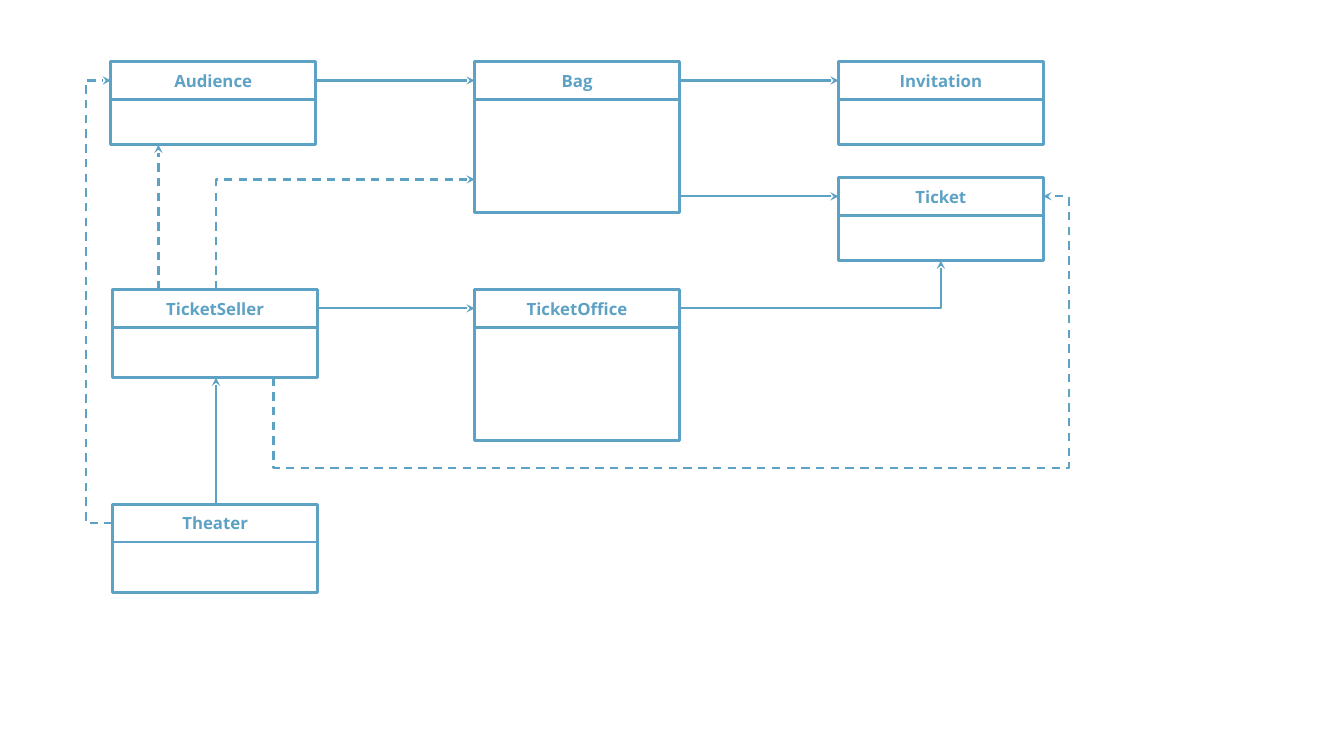
import pptx
import pptx.dml.color
import pptx.enum.dml
import pptx.enum.shapes
import pptx.enum.text
import pptx.oxml
import pptx.oxml.ns
import pptx.util

Pt = pptx.util.Pt
qn = pptx.oxml.ns.qn
BLUE = pptx.dml.color.RGBColor(0x5D, 0xA2, 0xC5)
FONT = "Open Sans"

# Content: class name -> left, top, body height
BOX_WIDTH, HEADER_HEIGHT = 146.2, 27
COLUMNS = (79.2, 339.1, 599)
INDENTED = 80.6
CLASSES = {
    "Audience": (COLUMNS[0], 44, 32.4),
    "Bag": (COLUMNS[1], 44, 80.6),
    "Invitation": (COLUMNS[2], 44, 32.4),
    "Ticket": (COLUMNS[2], 126.8, 32.4),
    "TicketSeller": (INDENTED, 206.8, 36),
    "TicketOffice": (COLUMNS[1], 206.8, 80.6),
    "Theater": (INDENTED, 360.2, 36),
}


# Anchor points on the class boxes
def side(name, fraction):
    """Point at header mid-height, at a fraction of the box width."""
    left, top, _ = CLASSES[name]
    return left + fraction * BOX_WIDTH, top + HEADER_HEIGHT / 2


def upper(name, x):
    return x, CLASSES[name][1]


def lower(name, x):
    _, top, body = CLASSES[name]
    return x, top + HEADER_HEIGHT + body


def link(source, target):
    """Horizontal path from one box to the next, level with the target header."""
    target_point = side(target, 0)
    return [(side(source, 1)[0], target_point[1]), target_point]


# Routes: corner points of each arrow
SELLER_X, TO_AUDIENCE_X, TO_TICKET_X = 154.3, 113.2, 195.4
OUTER_LEFT, OUTER_RIGHT, LOW_LANE, BAG_LANE = 61.2, 763.2, 334.6, 128.2
ticket_x = side("Ticket", 0.5)[0]
office_exit = side("TicketOffice", 1)
theater_exit, audience_entry = side("Theater", 0), side("Audience", 0)
ticket_entry = side("Ticket", 1)

ASSOCIATIONS = [
    link("Audience", "Bag"),
    link("Bag", "Invitation"),
    link("Bag", "Ticket"),
    link("TicketSeller", "TicketOffice"),
    [upper("Theater", SELLER_X), lower("TicketSeller", SELLER_X)],
    [office_exit, (ticket_x, office_exit[1]), lower("Ticket", ticket_x)],
]
DEPENDENCIES = [
    [theater_exit, (OUTER_LEFT, theater_exit[1]),
     (OUTER_LEFT, audience_entry[1]), audience_entry],
    [lower("TicketSeller", TO_TICKET_X), (TO_TICKET_X, LOW_LANE),
     (OUTER_RIGHT, LOW_LANE), (OUTER_RIGHT, ticket_entry[1]), ticket_entry],
    [upper("TicketSeller", SELLER_X), (SELLER_X, BAG_LANE),
     (COLUMNS[1], BAG_LANE)],
    [upper("TicketSeller", TO_AUDIENCE_X), lower("Audience", TO_AUDIENCE_X)],
]

presentation = pptx.Presentation()
presentation.slide_width, presentation.slide_height = Pt(960), Pt(540)
slide = presentation.slides.add_slide(presentation.slide_layouts[6])


# Class boxes
def add_box(left, top, height):
    shape = slide.shapes.add_shape(
        pptx.enum.shapes.MSO_SHAPE.RECTANGLE,
        Pt(left), Pt(top), Pt(BOX_WIDTH), Pt(height))
    shape.shadow.inherit = False
    shape.fill.background()
    shape.line.color.rgb = BLUE
    shape.line.width = Pt(2)
    return shape


def add_class(name, left, top, body_height):
    header = add_box(left, top, HEADER_HEIGHT)
    header.text_frame.vertical_anchor = pptx.enum.text.MSO_ANCHOR.MIDDLE
    paragraph = header.text_frame.paragraphs[0]
    paragraph.text = name
    paragraph.alignment = pptx.enum.text.PP_ALIGN.CENTER
    paragraph.font.name = FONT
    paragraph.font.size = Pt(12)
    paragraph.font.bold = True
    paragraph.font.color.rgb = BLUE
    add_box(left, top + HEADER_HEIGHT, body_height)


# Arrows
def bend(connector, route):
    """Turn the connector so that it follows the corners of the route."""
    start, end = route[0], route[-1]
    delta = [end[0] - start[0], end[1] - start[1]]
    axis = 0 if route[1][1] == start[1] else 1
    if axis:
        turn, local = 90, (delta[1], -delta[0])
    elif delta[0] < 0:
        turn, local = 180, (-delta[0], -delta[1])
    else:
        turn, local = 0, delta
    width, height = abs(local[0]), abs(local[1])
    connector.left = Pt((start[0] + end[0] - width) / 2)
    connector.top = Pt((start[1] + end[1] - height) / 2)
    connector.width, connector.height = Pt(width), Pt(height)

    properties = connector._element.spPr
    frame = properties.find(qn("a:xfrm"))
    frame.set("rot", str(turn * 60000))
    frame.set("flipH", str(int(local[0] < 0)))
    frame.set("flipV", str(int(local[1] < 0)))
    geometry = properties.find(qn("a:prstGeom"))
    geometry.set("prst", f"bentConnector{len(route) - 1}")
    guides = geometry.find(qn("a:avLst"))
    for number, corner in enumerate(route[1:-2], start=1):
        along = axis if number % 2 else 1 - axis
        ratio = (corner[along] - start[along]) / delta[along]
        guide = pptx.oxml.parse_xml(
            f'<a:gd {pptx.oxml.ns.nsdecls("a")} name="adj{number}" '
            f'fmla="val {round(ratio * 100000)}"/>')
        guides.append(guide)


def add_arrow(route, dashed):
    kinds = pptx.enum.shapes.MSO_CONNECTOR
    bent = len(route) > 2
    connector = slide.shapes.add_connector(
        kinds.ELBOW if bent else kinds.STRAIGHT,
        *(Pt(value) for value in route[0] + route[-1]))
    if bent:
        bend(connector, route)
    connector.line.color.rgb = BLUE
    connector.line.width = Pt(1.5)
    if dashed:
        connector.line.dash_style = pptx.enum.dml.MSO_LINE.DASH
    namespace = pptx.oxml.ns.nsdecls("a")
    connector.line._get_or_add_ln().append(
        pptx.oxml.parse_xml(f'<a:tailEnd {namespace} type="stealth"/>'))
    connector._element.spPr.append(
        pptx.oxml.parse_xml(f"<a:effectLst {namespace}/>"))


for class_name, placement in CLASSES.items():
    add_class(class_name, *placement)
for routes, is_dashed in ((ASSOCIATIONS, False), (DEPENDENCIES, True)):
    for corners in routes:
        add_arrow(corners, is_dashed)

presentation.save("out.pptx")
